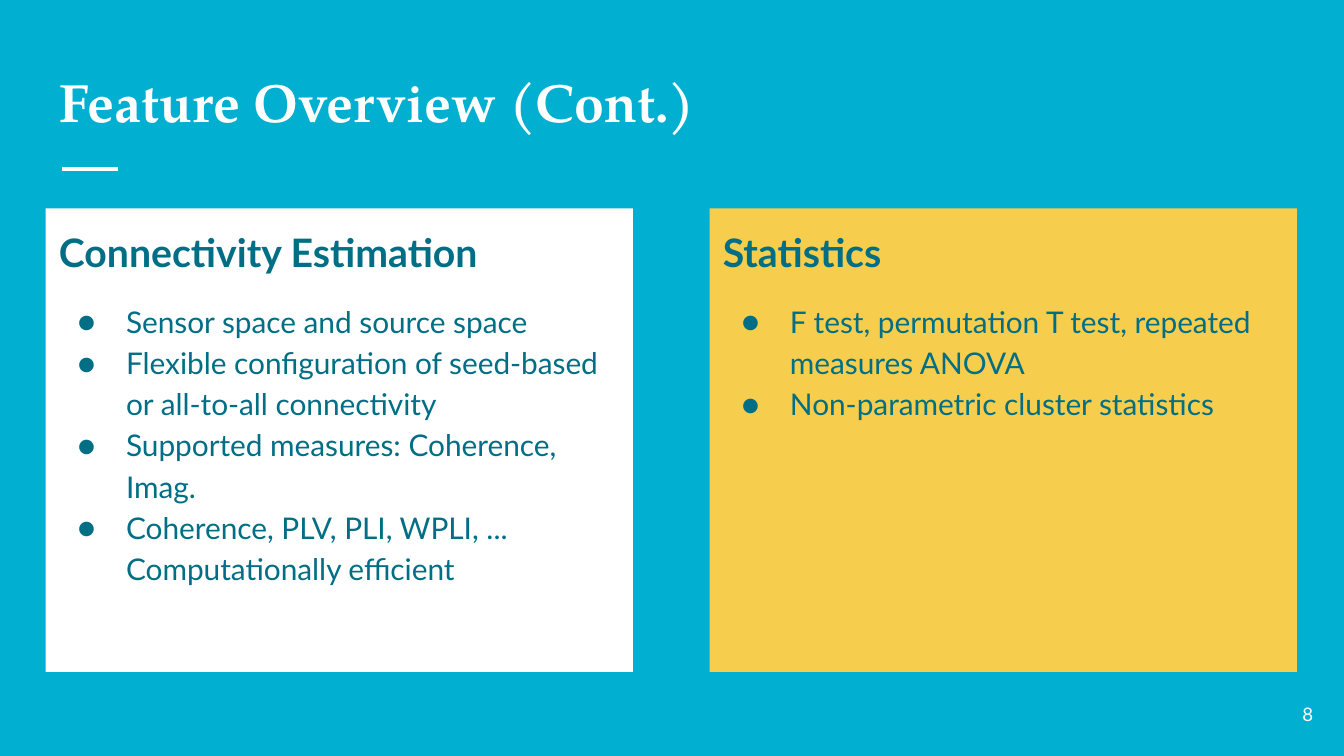
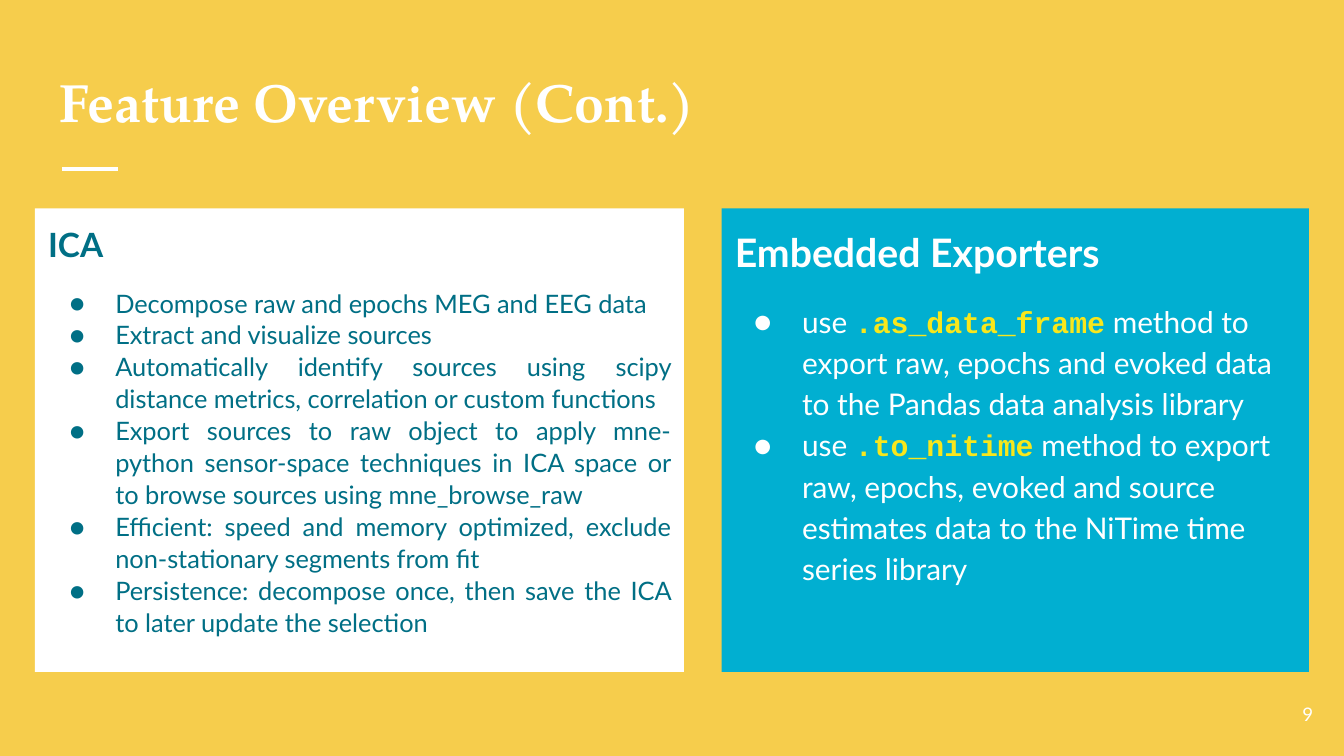
import pptx
import pptx.dml.color
import pptx.enum.shapes
import pptx.enum.text
import pptx.oxml.ns
import pptx.util
from lxml import etree

Inches = pptx.util.Inches
Pt = pptx.util.Pt
RGBColor = pptx.dml.color.RGBColor
Align = pptx.enum.text.PP_ALIGN
Anchor = pptx.enum.text.MSO_ANCHOR
qn = pptx.oxml.ns.qn

WHITE = RGBColor(0xFF, 0xFF, 0xFF)
BLUE = RGBColor(0x01, 0xAF, 0xD1)
GOLD = RGBColor(0xF6, 0xCD, 0x4C)
TEAL = RGBColor(0x00, 0x6F, 0x85)
YELLOW = RGBColor(0xF8, 0xE7, 0x1C)

TITLE_FONT = "TeX Gyre Pagella"
BODY_FONT = "Lato"
CODE_FONT = "Courier New"

PANEL_TOP, PANEL_HEIGHT = 1.55, 3.45
REGULAR = {"heading": 21, "body": 16, "spacing": 1.15, "hanging": 0.36, "align": Align.LEFT}
COMPACT = {"heading": 17.9, "body": 13.6, "spacing": 1.05, "hanging": 0.34, "align": Align.JUSTIFY}

CONNECTIVITY = [
    "Sensor space and source space",
    "Flexible configuration of seed-based or all-to-all connectivity",
    "Supported measures: Coherence, Imag.",
    "Coherence, PLV, PLI, WPLI, ... Computationally efficient",
]
STATISTICS = [
    "F test, permutation T test, repeated measures ANOVA",
    "Non-parametric cluster statistics",
]
ICA = [
    "Decompose raw and epochs MEG and EEG data",
    "Extract and visualize sources",
    "Automatically identify sources using scipy distance metrics, correlation or custom functions",
    "Export sources to raw object to apply mne-python sensor-space techniques in ICA space "
    "or to browse sources using mne_browse_raw",
    "Efficient: speed and memory optimized, exclude non-stationary segments from fit",
    "Persistence: decompose once, then save the ICA to later update the selection",
]
EXPORTERS = [
    "use `.as_data_frame` method to export raw, epochs and evoked data "
    "to the Pandas data analysis library",
    "use `.to_nitime` method to export raw, epochs, evoked and source estimates data "
    "to the NiTime time series library",
]


def add_span(para, text, size, color, font=BODY_FONT, bold=False):
    """Append one formatted run to a paragraph."""
    span = para.add_run()
    span.text = text
    span.font.size = Pt(size)
    span.font.name = font
    span.font.bold = bold
    span.font.color.rgb = color


def prepare_frame(box, anchor=Anchor.TOP):
    """Give a box wrapped text with even insets and return its frame."""
    frame = box.text_frame
    frame.word_wrap = True
    frame.auto_size = pptx.enum.text.MSO_AUTO_SIZE.NONE
    frame.vertical_anchor = anchor
    frame.margin_left = frame.margin_right = Inches(0.1)
    frame.margin_top = frame.margin_bottom = Inches(0.1)
    return frame


def set_bullet(para, color, hanging):
    """Give a paragraph a coloured round bullet and a hanging indent."""
    props = para._p.get_or_add_pPr()
    props.set("marL", str(Inches(0.5)))
    props.set("indent", str(-Inches(hanging)))
    fill = etree.SubElement(props, qn("a:buClr"))
    etree.SubElement(fill, qn("a:srgbClr"), val=str(color))
    etree.SubElement(props, qn("a:buFont"), typeface=BODY_FONT)
    etree.SubElement(props, qn("a:buChar"), char="●")


def add_header(page, title):
    """Place the title and the short rule under it."""
    box = page.shapes.title
    box.left, box.top = Inches(0.34), Inches(0.41)
    box.width, box.height = Inches(9.32), Inches(0.71)
    para = prepare_frame(box).paragraphs[0]
    para.alignment = Align.LEFT
    add_span(para, title, 28.8, WHITE, TITLE_FONT, bold=True)

    rule = page.shapes.add_connector(
        pptx.enum.shapes.MSO_CONNECTOR.STRAIGHT,
        Inches(0.46), Inches(1.26), Inches(0.88), Inches(1.26))
    rule.line.color.rgb = WHITE
    rule.line.width = Pt(2.25)
    etree.SubElement(rule._element.spPr, qn("a:effectLst"))


def add_page_number(page, number):
    """Place the page number in the bottom right corner."""
    box = page.shapes.add_textbox(Inches(9.27), Inches(5.1), Inches(0.6), Inches(0.43))
    para = prepare_frame(box, Anchor.MIDDLE).paragraphs[0]
    para.alignment = Align.RIGHT
    add_span(para, str(number), 10, WHITE)


def add_panel(page, left, width, fill, color, heading, items, style=REGULAR):
    """Draw a filled panel with a heading and bullets; backticks mark code."""
    box = page.shapes.add_shape(
        pptx.enum.shapes.MSO_SHAPE.RECTANGLE,
        Inches(left), Inches(PANEL_TOP), Inches(width), Inches(PANEL_HEIGHT))
    box.shadow.inherit = False
    box.fill.solid()
    box.fill.fore_color.rgb = fill
    box.line.fill.background()
    frame = prepare_frame(box)
    para = frame.paragraphs[0]
    para.alignment = style["align"]
    para.line_spacing = style["spacing"]
    add_span(para, heading, style["heading"], color, bold=True)

    for index, item in enumerate(items):
        para = frame.add_paragraph()
        para.alignment = style["align"]
        para.line_spacing = style["spacing"]
        para.space_before = Pt(0 if index else 12)
        set_bullet(para, color, style["hanging"])
        for position, text in enumerate(item.split("`")):
            if position % 2:
                add_span(para, text, style["body"], YELLOW, CODE_FONT, bold=True)
            else:
                add_span(para, text, style["body"], color)


def add_feature_page(deck, number, background, panels):
    """Add a page with the shared header, its panels and its number."""
    page = deck.slides.add_slide(deck.slide_layouts.get_by_name("Title Only"))
    page.background.fill.solid()
    page.background.fill.fore_color.rgb = background
    add_header(page, "Feature Overview (Cont.)")
    for panel in panels:
        add_panel(page, *panel)
    add_page_number(page, number)


def main():
    """Build both feature pages and save the deck."""
    deck = pptx.Presentation()
    deck.slide_width, deck.slide_height = Inches(10), Inches(5.625)
    add_feature_page(deck, 8, BLUE, [
        (0.34, 4.37, WHITE, TEAL, "Connectivity Estimation", CONNECTIVITY),
        (5.28, 4.37, GOLD, TEAL, "Statistics", STATISTICS),
    ])
    add_feature_page(deck, 9, GOLD, [
        (0.26, 4.83, WHITE, TEAL, "ICA", ICA, COMPACT),
        (5.37, 4.37, BLUE, WHITE, "Embedded Exporters", EXPORTERS),
    ])
    deck.save("out.pptx")


if __name__ == "__main__":
    main()
